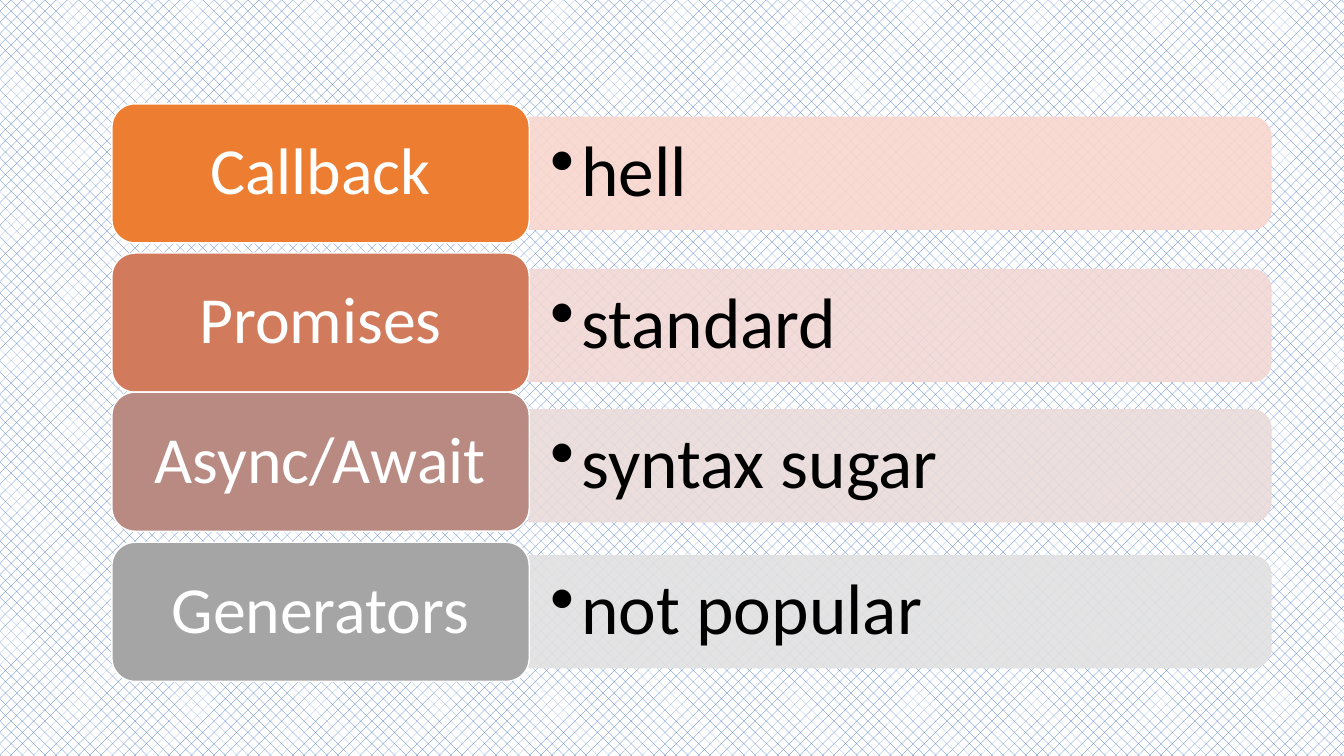
from dataclasses import dataclass
from typing import NamedTuple

from lxml.etree import SubElement
from pptx import Presentation
from pptx.dml.color import RGBColor as Rgb
from pptx.enum.dml import MSO_PATTERN as Pattern
from pptx.enum.shapes import MSO_SHAPE as Shape
from pptx.enum.text import MSO_ANCHOR as Anchor, PP_ALIGN as Align
from pptx.oxml.ns import qn
from pptx.util import Inches, Pt

SLIDE_W, SLIDE_H = Inches(13.33), Inches(7.5)


@dataclass(frozen=True)
class Theme:
    font: str = "Calibri"
    label_size: int = 47
    detail_size: int = 51
    label_text: str = "FFFFFF"
    detail_text: str = "000000"
    outline: str = "FFFFFF"
    hatch: str = "4472C4"
    paper: str = "FFFFFF"
    bar_opacity: int = 90


class Approach(NamedTuple):
    name: str
    verdict: str
    label_color: str
    bar_color: str
    label_middle: float  # percent of the slide height
    bar_middle: float


THEME = Theme()
APPROACHES = [
    Approach("Callback", "hell", "ED7D31", "F8D7CE", 22.93, 22.93),
    Approach("Promises", "standard", "D17B5C", "F1D8D4", 42.67, 43.07),
    Approach("Async/Await", "syntax sugar", "B98A82", "E9DBDA", 61.07, 61.6),
    Approach("Generators", "not popular", "A5A5A5", "E1E1E1", 80.93, 80.93),
]

# Columns as percent of the slide width, heights as percent of its height
LABEL_LEFT, LABEL_WIDTH, LABEL_HEIGHT = 8.33, 31.05, 18.4
BAR_LEFT, BAR_WIDTH, BAR_HEIGHT = 39.36, 55.2, 14.8
DETAIL_WIDTH, DETAIL_HEIGHT = 54.84, 13.4


def across(percent):
    return int(SLIDE_W * percent / 100)


def down(percent):
    return int(SLIDE_H * percent / 100)


def paint_background(slide):
    fill = slide.background.fill
    fill.patterned()
    fill.pattern = Pattern.PERCENT_25
    fill.fore_color.rgb = Rgb.from_string(THEME.hatch)
    fill.back_color.rgb = Rgb.from_string(THEME.paper)


def paint(shape, fill_color, line_color):
    shape.shadow.inherit = False
    shape.fill.solid()
    shape.fill.fore_color.rgb = Rgb.from_string(fill_color)
    shape.line.color.rgb = Rgb.from_string(line_color)
    shape.line.width = Pt(1)


def make_translucent(shape, opacity):
    """Apply an opacity in percent to both fill and line."""
    for color in shape._element.spPr.iter(qn("a:srgbClr")):
        SubElement(color, qn("a:alpha"), val=str(opacity * 1000))


def add_bullet(paragraph, indent):
    properties = paragraph._p.get_or_add_pPr()
    properties.set("marL", str(indent))
    properties.set("indent", str(-indent))
    SubElement(properties, qn("a:buChar"), char="•")


def write(shape, text, size, color, inset_x, inset_y):
    """Fill a shape with one middle-anchored line and return its paragraph."""
    frame = shape.text_frame
    frame.text = text
    frame.word_wrap = True
    frame.vertical_anchor = Anchor.MIDDLE
    frame.margin_left = frame.margin_right = Inches(inset_x)
    frame.margin_top = frame.margin_bottom = Inches(inset_y)
    line = frame.paragraphs[0]
    line.line_spacing = 0.9
    font = line.runs[0].font
    font.name, font.size = THEME.font, Pt(size)
    font.color.rgb = Rgb.from_string(color)
    return line


def add_bar(slide, approach):
    """Draw an upright tab turned a quarter, so its round corners face right."""
    length, thickness = across(BAR_WIDTH), down(BAR_HEIGHT)
    middle_x = across(BAR_LEFT) + length // 2
    middle_y = down(approach.bar_middle)
    bar = slide.shapes.add_shape(
        Shape.ROUND_2_SAME_RECTANGLE, middle_x - thickness // 2,
        middle_y - length // 2, thickness, length)
    bar.rotation = 90
    paint(bar, approach.bar_color, approach.bar_color)
    make_translucent(bar, THEME.bar_opacity)


def add_detail(slide, approach):
    detail = slide.shapes.add_textbox(
        across(BAR_LEFT), down(approach.bar_middle - DETAIL_HEIGHT / 2),
        across(DETAIL_WIDTH), down(DETAIL_HEIGHT))
    line = write(detail, approach.verdict, THEME.detail_size,
                 THEME.detail_text, 0.21, 0.11)
    line.level = 1
    add_bullet(line, Inches(0.31))


def add_label(slide, approach):
    label = slide.shapes.add_shape(
        Shape.ROUNDED_RECTANGLE, across(LABEL_LEFT),
        down(approach.label_middle - LABEL_HEIGHT / 2),
        across(LABEL_WIDTH), down(LABEL_HEIGHT))
    paint(label, approach.label_color, THEME.outline)
    line = write(label, approach.name, THEME.label_size,
                 THEME.label_text, 0.2, 0.1)
    line.alignment = Align.CENTER


def main():
    deck = Presentation()
    deck.slide_width, deck.slide_height = SLIDE_W, SLIDE_H
    slide = deck.slides.add_slide(deck.slide_layouts[6])
    paint_background(slide)
    for approach in APPROACHES:
        add_bar(slide, approach)
        add_detail(slide, approach)
        add_label(slide, approach)
    deck.save("out.pptx")


if __name__ == "__main__":
    main()
